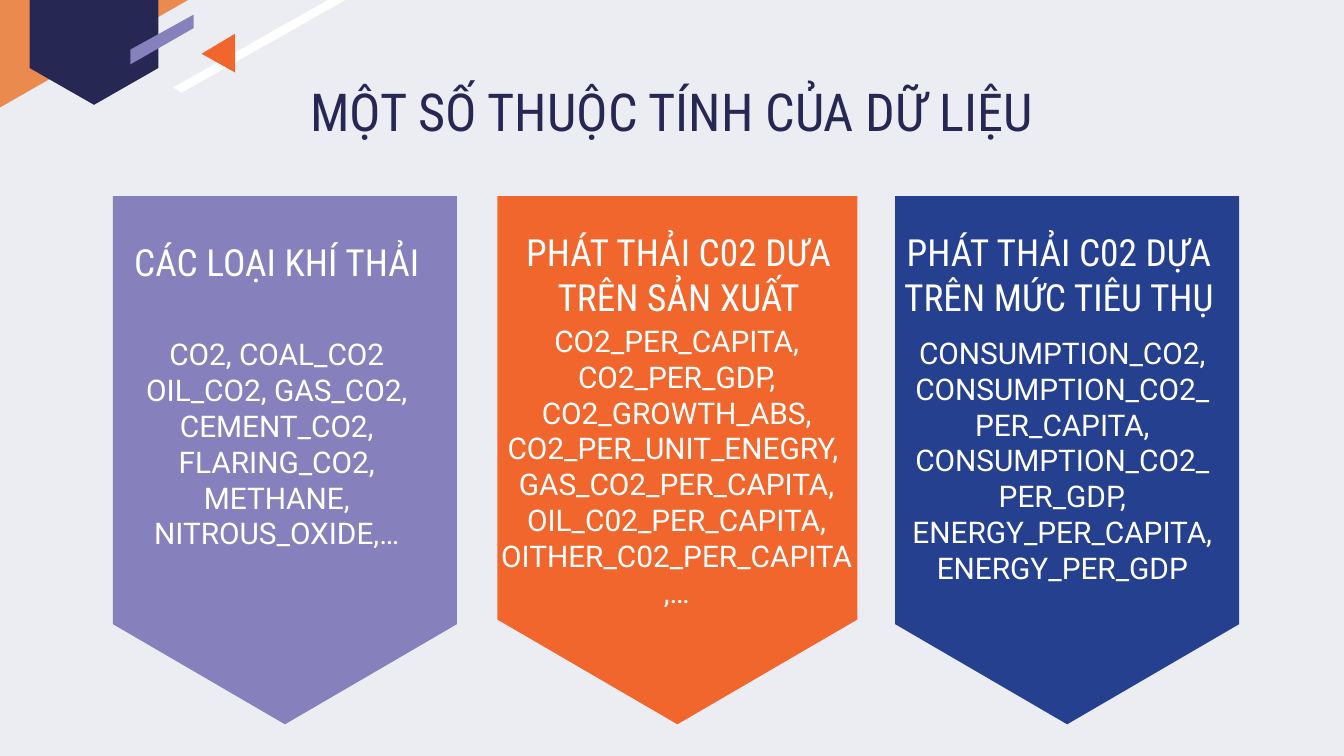
from dataclasses import dataclass

from lxml.etree import SubElement
from pptx import Presentation
from pptx.dml.color import RGBColor
from pptx.enum.shapes import MSO_SHAPE as Kind
from pptx.enum.text import MSO_ANCHOR as Anchor, MSO_AUTO_SIZE as Fit, PP_ALIGN as Align
from pptx.oxml.ns import qn
from pptx.util import Inches, Pt

NAVY, ORANGE, PURPLE, BLUE, WHITE = "272753", "F1662D", "8680BC", "25408F", "FFFFFF"
HEAD, BODY = "Roboto Condensed", "Roboto"


@dataclass
class Box:
    """A rectangle in inches."""
    x: float
    y: float
    w: float
    h: float

    def spans(self) -> list:
        """Return left, top, width and height as lengths."""
        return [Inches(v) for v in (self.x, self.y, self.w, self.h)]


@dataclass
class Card:
    """A banner with its heading and list of fields."""
    fill: str
    plate: Box
    head: str
    top: Box
    items: list[str]
    area: Box


@dataclass
class Style:
    """The look of a block of text."""
    font: str
    size: int
    color: str
    anchor: Anchor = Anchor.TOP
    pad: tuple = (0, 0)


TITLE = Style(HEAD, 28, NAVY, pad=(0.1, 0.1))
LABEL = Style(HEAD, 20, WHITE, Anchor.BOTTOM)
LIST = Style(BODY, 16, WHITE, pad=(0, 0.1))

CARDS = [
    Card(PURPLE, Box(0.84, 1.46, 2.56, 3.93),
         "CÁC LOẠI KHÍ THẢI", Box(0.86, 1.76, 2.4, 0.35),
         ["CO2, COAL_CO2 OIL_CO2, GAS_CO2, CEMENT_CO2, FLARING_CO2, METHANE, NITROUS_OXIDE,…"],
         Box(0.86, 2.5, 2.4, 0.84)),
    Card(ORANGE, Box(3.7, 1.46, 2.68, 3.93),
         "PHÁT THẢI C02 DƯA TRÊN SẢN XUẤT", Box(3.71, 1.3, 2.68, 1.07),
         ["CO2_PER_CAPITA, CO2_PER_GDP, CO2_GROWTH_ABS, CO2_PER_UNIT_ENEGRY, ",
          "GAS_CO2_PER_CAPITA,", "OIL_C02_PER_CAPITA,", "OITHER_C02_PER_CAPITA ,…"],
         Box(3.6, 2.4, 2.87, 2.32)),
    Card(BLUE, Box(6.66, 1.46, 2.56, 3.93),
         "PHÁT THẢI C02 DỰA TRÊN MỨC TIÊU THỤ", Box(6.51, 1.23, 2.74, 1.14),
         ["CONSUMPTION_CO2,", "CONSUMPTION_CO2_PER_CAPITA,", "CONSUMPTION_CO2_PER_GDP,",
          "ENERGY_PER_CAPITA,", "ENERGY_PER_GDP"],
         Box(6.66, 2.49, 2.49, 2.15)),
]


def rgb(code: str) -> RGBColor:
    """Turn a hex string into a colour."""
    return RGBColor.from_string(code)


def paint(shape, color: str) -> None:
    """Give a shape a flat fill with no line or shadow."""
    shape.shadow.inherit = False
    shape.fill.solid()
    shape.fill.fore_color.rgb = rgb(color)
    shape.line.fill.background()


def poly(slide, color: str, points: list[tuple]) -> None:
    """Draw a closed outline."""
    first, *rest = [(Inches(x), Inches(y)) for x, y in points]
    pen = slide.shapes.build_freeform(*first)
    pen.add_line_segments(rest, close=True)
    paint(pen.convert_to_shape(), color)


def turned(slide, kind: Kind, box: Box, angle: int, ratio: float, color: str) -> None:
    """Draw a preset shape on its side so that it fills the box."""
    x, y = box.x + (box.w - box.h) / 2, box.y + (box.h - box.w) / 2
    shape = slide.shapes.add_shape(kind, *Box(x, y, box.h, box.w).spans())
    shape.rotation = angle
    shape.adjustments[0] = ratio
    paint(shape, color)


def write(shape, box: Box, lines: list[str], style: Style) -> None:
    """Place a text shape on top and set its centred lines."""
    shape.left, shape.top, shape.width, shape.height = box.spans()
    tree = shape.element.getparent()
    tree.append(shape.element)
    frame = shape.text_frame
    frame.text = "\n".join(lines)
    frame.word_wrap = True
    frame.auto_size = Fit.NONE
    frame.vertical_anchor = style.anchor
    frame.margin_left = frame.margin_right = Inches(0.1)
    frame.margin_top, frame.margin_bottom = [Inches(v) for v in style.pad]
    for para in frame.paragraphs:
        para.alignment = Align.CENTER
        para.space_before = para.space_after = Pt(0)
        para.line_spacing = 1.0
        props = para._p.get_or_add_pPr()
        props.set("marL", "0")
        props.set("indent", "0")
        SubElement(props, qn("a:buNone"))
        for run in para.runs:
            run.font.name = style.font
            run.font.size = Pt(style.size)
            run.font.bold = False
            run.font.color.rgb = rgb(style.color)


def decor(slide) -> None:
    """Draw the corner pattern."""
    poly(slide, "EA8A4F", [(0, 0), (0, 0.8), (1.4, 0)])
    poly(slide, WHITE, [(2.44, 0), (1.29, 0.65), (1.35, 0.69), (2.57, 0)])
    poly(slide, ORANGE, [(1.75, 0.25), (1.75, 0.54), (1.5, 0.4)])
    turned(slide, Kind.HEXAGON, Box(0.22, -0.3, 0.96, 1.08), 270, 0.286, NAVY)
    poly(slide, PURPLE, [(0.97, 0.37), (1.44, 0.11), (1.44, 0.21), (0.97, 0.48)])


def main() -> None:
    """Build and save the slide."""
    deck = Presentation()
    deck.slide_width = Inches(10)
    deck.slide_height = deck.slide_width * 9 // 16
    slide = deck.slides.add_slide(deck.slide_layouts.get_by_name("Comparison"))
    slide.background.fill.solid()
    slide.background.fill.fore_color.rgb = rgb("ECEDF3")
    title, *slots = [s for s in slide.placeholders if s.placeholder_format.idx < 10]

    decor(slide)
    for card in CARDS:
        turned(slide, Kind.PENTAGON, card.plate, 90, 0.291, card.fill)
    for card, slot in zip(CARDS, slots):
        label = slide.shapes.add_textbox(*card.top.spans())
        write(label, card.top, [card.head], LABEL)
        write(slot, card.area, card.items, LIST)
    write(title, Box(1.27, 0.49, 7.45, 0.63), ["MỘT SỐ THUỘC TÍNH CỦA DỮ LIỆU"], TITLE)

    for slot in slots[len(CARDS):]:
        slot.element.getparent().remove(slot.element)
    deck.save("out.pptx")


if __name__ == "__main__":
    main()
